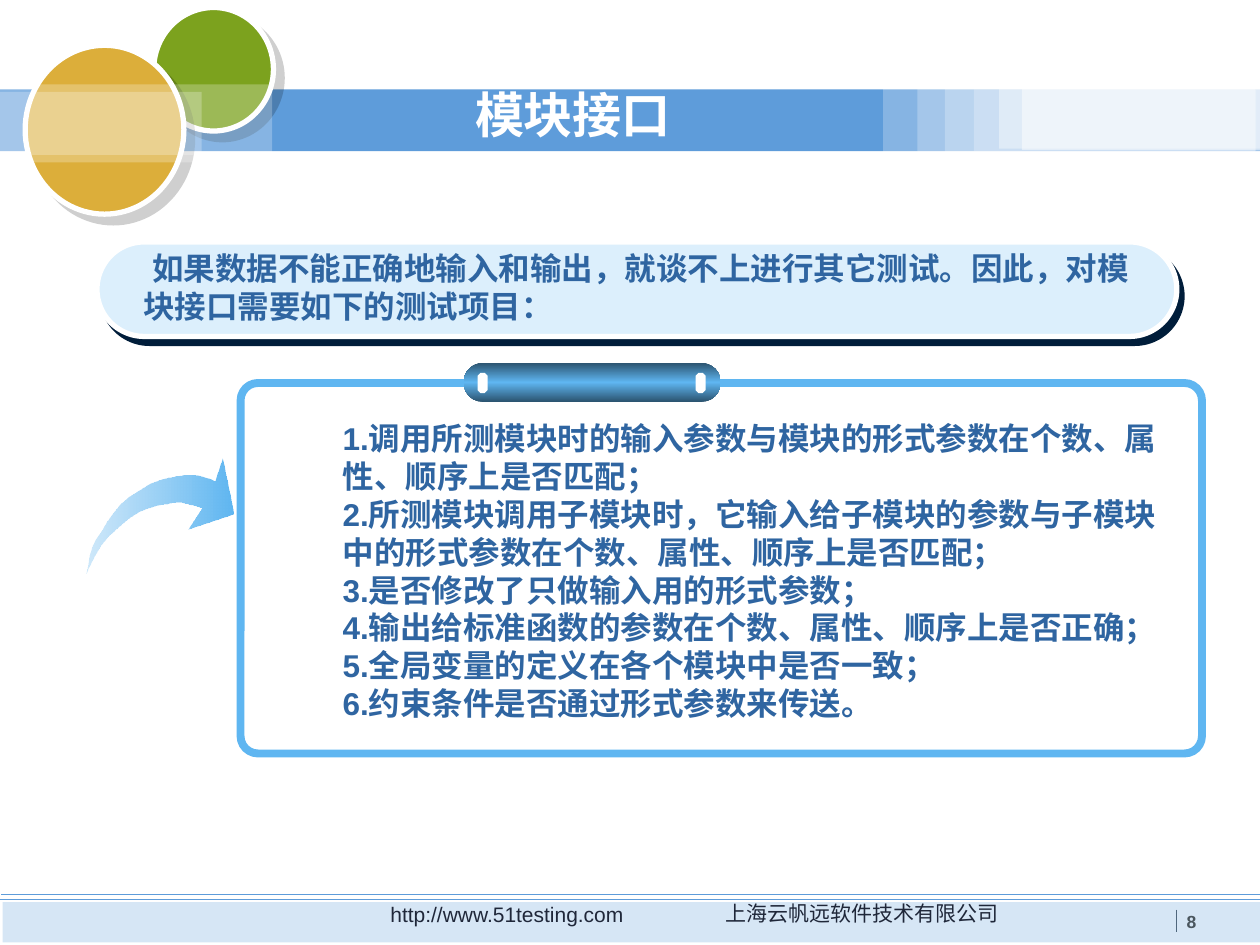
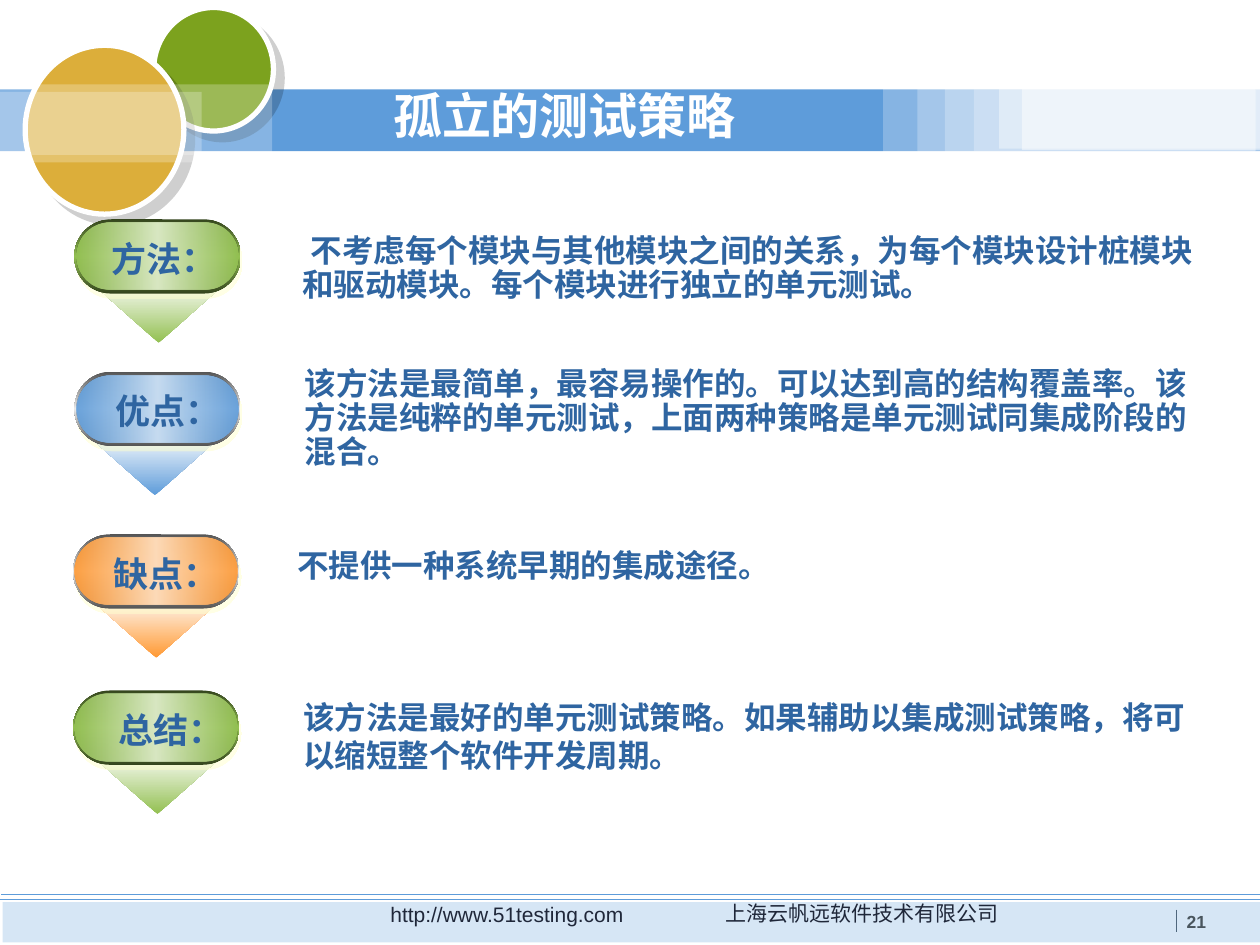
from lxml.etree import SubElement as Sub
from pptx import Presentation
from pptx.dml.color import RGBColor as Rgb
from pptx.enum.shapes import MSO_CONNECTOR as Wire, MSO_SHAPE as Geo
from pptx.enum.text import MSO_ANCHOR as Anchor, MSO_AUTO_SIZE as Auto, PP_ALIGN as Align
from pptx.oxml.ns import qn
from pptx.util import Inches, Pt

COLS, ROWS = 100, 75
CELL = Inches(10) // COLS
FONT = "Arial"
HUES = {
    "white": "FFFFFF", "black": "000000", "band": "5E9CDA", "leaf": "7CA21E",
    "gold": "DCAE3A", "slate": "4A565E", "ink": "0B0104", "text": "2F65A1",
    "pale": "DCEFFC", "navy": "001D3A", "sky": "5FB6F1", "haze": "6DBBF1",
    "deep": "2B536F", "green": "93C052", "mint": "D9E8C3", "moss": "34451D",
    "ice": "C7DCF1", "orange": "FF9933", "peach": "FEDBB9", "gray": "545454",
    "silver": "EAEAEA", "snow": "FEFEFE", "cream": "FFFFCC",
}
DISC_SHADE = ("black", 19, 7.1, 45)
PILL_SHADE = ("cream", 50, 3.2, 72)

# Left, top, width, height and opacity of the white veils on the title band
VEILS = [
    (70.1, 6.8, 29.5, 5.6, 25), (72.8, 7, 27.2, 5.7, 25),
    (75, 6.9, 25, 5.7, 25), (77.3, 7.1, 22.4, 4.9, 25),
    (79.3, 6.9, 20.7, 4.9, 40), (81.1, 7, 18.9, 4.9, 48),
]
DISC_VEILS = [(0, 6.7, 21.6, 5.6, 25), (0, 7.3, 16, 5.6, 25)]

# Outline of the curved arrow in tenths of a cell
ARROW = [
    (69, 455), (71, 450), (73, 446), (75, 442), (78, 437), (81, 432), (86, 426),
    (91, 421), (97, 416), (103, 411), (111, 406), (119, 403), (126, 401),
    (133, 400), (139, 399), (144, 399), (149, 400), (153, 401), (160, 403),
    (149, 420), (185, 408), (176, 364), (170, 382), (166, 380), (159, 378),
    (155, 377), (145, 377), (139, 378), (133, 379), (126, 381), (119, 384),
    (111, 389), (103, 394), (96, 400), (90, 407), (85, 414), (81, 421),
    (77, 427), (74, 433), (72, 439), (71, 445),
]

INTRO = "如果数据不能正确地输入和输出，就谈不上进行其它测试。因此，对模块接口需要如下的测试项目："
CHECKS = [
    "1.调用所测模块时的输入参数与模块的形式参数在个数、属性、顺序上是否匹配；",
    "2.所测模块调用子模块时，它输入给子模块的参数与子模块中的形式参数在个数、属性、顺序上是否匹配；",
    "3.是否修改了只做输入用的形式参数；",
    "4.输出给标准函数的参数在个数、属性、顺序上是否正确；",
    "5.全局变量的定义在各个模块中是否一致；",
    "6.约束条件是否通过形式参数来传送。",
]

GREEN = ("green", "mint", "moss", "green")
BLUE = ("band", "ice", "gray", "silver")
ORANGE = ("orange", "peach", "gray", "silver")
# Label, its left, tones, pill left and top, tip left, note place, spacing, first indent, note
POINTS = [
    ("方法：", 7.9, GREEN, 5.9, 17.4, 7.1, (23, 18.2, 74.6, 6.4), 0.9, 0.7,
     ["不考虑每个模块与其他模块之间的关系，为每个模块设计桩模块和驱动模块。每个模块进行独立的单元测试。"]),
    ("优点：", 8.2, BLUE, 5.9, 29.5, 6.8, (23.2, 28.7, 72.8, 9.1), 0.9, 0,
     ["该方法是最简单，最容易操作的。可以达到高的结构覆盖率。该方法是纯粹的单元测试，上面两种策略是单元测试同集成阶段的混合。"]),
    ("缺点：", 8, ORANGE, 5.8, 42.4, 6.9, (22.6, 43.2, 70.1, 3.7), 0.9, 0,
     ["不提供一种系统早期的集成途径。"]),
    ("总结：", 8.4, GREEN, 5.8, 54.8, 7, (23.1, 54.9, 73, 7), 1, 0,
     ["该方法是最好的单元测试策略。如果辅助以集成测试策略，将可", "以缩短整个软件开发周期。"]),
]


def cells(*sizes):
    return [round(size * CELL) for size in sizes]


def tint(node, hue, alpha):
    """Add a colour with an opacity in percent under an XML node."""
    color = Sub(node, qn("a:srgbClr"), val=HUES[hue])
    if alpha < 100:
        Sub(color, qn("a:alpha"), val=str(alpha * 1000))


class Deck:
    """Holds the presentation, its style and the current slide."""

    def __init__(self):
        self.show = Presentation()
        self.show.slide_width, self.show.slide_height = cells(COLS, ROWS)

    def start(self, title, place, number):
        self.slide = self.show.slides.add_slide(self.show.slide_layouts[5])
        self.frame(number)
        head = self.slide.shapes.title
        head.left, head.top, head.width, head.height = cells(*place)
        body = head.text_frame
        body.auto_size = Auto.NONE
        body.vertical_anchor = Anchor.MIDDLE
        self.letter(body, [title], 28, "white", True, space=0.9)
        self.slide.shapes._spTree.append(head._element)

    def frame(self, number):
        """Draw the band, discs and footer that every slide has."""
        self.shape(Geo.RECTANGLE, (0, 7.1, 100, 4.9), "band")
        self.shape(Geo.OVAL, (12.2, 0.6, 9.5, 9.8), "leaf", line=("white", 3), shade=DISC_SHADE)
        self.rule((93.4, 72.2, 93.4, 74), "slate")
        self.text(["上海云帆远软件技术有限公司"], (50.8, 71, 35.2, 3), 12, "ink", False, align=Align.CENTER)
        self.text(["http://www.51testing.com"], (23.9, 71.1, 32.7, 3), 12, "ink", False, align=Align.CENTER)
        self.rule((0, 71.4, 100, 71.4), "band")
        self.veil(VEILS)
        self.shape(Geo.RECTANGLE, (0.2, 71.6, 99.8, 3.2), "band", alpha=25)
        self.rule((0.1, 71, 100, 71), "band")
        self.shape(Geo.OVAL, (2, 3.6, 12.6, 13.4), "gold", line=("white", 3), shade=DISC_SHADE)
        self.veil(DISC_VEILS)
        self.text([str(number)], (93.2, 71.8, 4.8, 2.7), 10, "slate")

    def veil(self, strips):
        for *place, alpha in strips:
            self.shape(Geo.RECTANGLE, place, "white", alpha=alpha)

    def shape(self, geo, place, fill=None, alpha=100, line=None, shade=None, bend=None):
        item = self.slide.shapes.add_shape(geo, *cells(*place))
        if bend is not None:
            item.adjustments[0] = bend
        self.paint(item, fill, alpha, line, shade)
        return item

    def paint(self, item, fill, alpha=100, line=None, shade=None):
        """Fill with a hue, or with (angle, stops) for a gradient."""
        props = item._element.spPr
        if fill is None:
            item.fill.background()
        elif isinstance(fill, str):
            item.fill.solid()
            item.fill.fore_color.rgb = Rgb.from_string(HUES[fill])
            if alpha < 100:
                color = props.find(qn("a:solidFill"))[0]
                Sub(color, qn("a:alpha"), val=str(alpha * 1000))
        else:
            angle, stops = fill
            grad = Sub(props, qn("a:gradFill"), rotWithShape="1")
            props.insert(2, grad)
            chain = Sub(grad, qn("a:gsLst"))
            for pos, hue, dense in stops:
                tint(Sub(chain, qn("a:gs"), pos=str(pos * 1000)), hue, dense)
            Sub(grad, qn("a:lin"), ang=str(angle * 60000), scaled="0")
        if line:
            item.line.color.rgb = Rgb.from_string(HUES[line[0]])
            item.line.width = Pt(line[1])
        else:
            item.line.fill.background()
        item.shadow.inherit = False
        if shade:
            hue, dense, dist, angle = shade
            cast = Sub(props.find(qn("a:effectLst")), qn("a:outerShdw"), blurRad="0",
                       dist=str(Pt(dist)), dir=str(angle * 60000), algn="ctr", rotWithShape="0")
            tint(cast, hue, dense)

    def rule(self, ends, hue):
        line = self.slide.shapes.add_connector(Wire.STRAIGHT, *cells(*ends))
        line.line.color.rgb = Rgb.from_string(HUES[hue])
        line.line.width = Pt(0.75)
        Sub(line._element.spPr, qn("a:effectLst"))

    def free(self, points, fill):
        pen = self.slide.shapes.build_freeform(*points[0], scale=CELL / 10)
        pen.add_line_segments(points[1:], close=True)
        self.paint(pen.convert_to_shape(), fill)

    def text(self, lines, place, size=18, hue="text", bold=True, **style):
        body = self.slide.shapes.add_textbox(*cells(*place)).text_frame
        body.word_wrap = True
        self.letter(body, lines, size, hue, bold, **style)

    def letter(self, body, lines, size, hue, bold, align=Align.LEFT, space=1, left=0, first=0):
        """Put lines into a text frame, one paragraph each."""
        for index, line in enumerate(lines):
            para = body.add_paragraph() if index else body.paragraphs[0]
            para.text = line
            props = para._p.get_or_add_pPr()
            for key, shift in zip(("marL", "indent"), cells(left, first)):
                props.set(key, str(shift))
            para.alignment = align
            para.line_spacing = space
            font = para.font
            font.name, font.size, font.bold = FONT, Pt(size), bold
            font.color.rgb = Rgb.from_string(HUES[hue])

    def pill(self, col, row, tones):
        """Draw a rimmed, shaded pill as one group."""
        hue, glow, rim, shine = tones
        edge = self.shape(Geo.ROUNDED_RECTANGLE, (col, row, 13.2, 5.9),
                          (90, [(0, rim, 100), (50, shine, 100), (100, rim, 100)]),
                          shade=PILL_SHADE, bend=0.5)
        face = self.shape(Geo.ROUNDED_RECTANGLE, (col + 0.15, row + 0.3, 12.9, 5.3),
                          (180, [(0, hue, 90), (50, glow, 100), (100, hue, 90)]), bend=0.5)
        self.slide.shapes.add_group_shape([edge, face])

    def tip(self, col, row, hue):
        item = self.shape(Geo.ISOSCELES_TRIANGLE, (col, row, 11, 4.9),
                          (90, [(0, hue, 100), (100, "snow", 100)]))
        item._element.spPr.xfrm.set("flipV", "1")


def ports(deck):
    deck.start("模块接口", (36.7, 4.1, 22.8, 10.4), 8)
    deck.shape(Geo.ROUNDED_RECTANGLE, (7.7, 19.2, 85.7, 7.5), "pale", line=("white", 3),
               shade=("navy", 100, 5, 53), bend=0.5)
    deck.text([INTRO], (10.4, 19.3, 81.5, 7), first=0.7)
    deck.free(ARROW, (180, [(0, "sky", 100), (100, "haze", 32)]))
    deck.shape(Geo.ROUNDED_RECTANGLE, (19.1, 30.4, 76.3, 29.4), line=("sky", 4.5), bend=0.047)
    deck.shape(Geo.ROUNDED_RECTANGLE, (36.8, 28.8, 20.4, 3.1),
               (90, [(0, "deep", 100), (50, "sky", 100), (100, "deep", 100)]), bend=0.5)
    for col in (55.2, 37.9):
        deck.shape(Geo.OCTAGON, (col, 29.6, 0.8, 1.6), "white", bend=0.29)
    deck.text(CHECKS, (21.2, 32.8, 72.5, 25), left=5)


def plan(deck):
    deck.start("孤立的测试策略", (30.2, 4.2, 39.5, 10.4), 21)
    for label, start, tones, col, row, tip, place, space, first, note in POINTS:
        deck.text(note, place, space=space, first=first)
        deck.tip(tip, row + 4.9, tones[0])
        deck.pill(col, row, tones)
        deck.text([label], (start, row + 0.95, 11, 4.4), 20)


def main():
    deck = Deck()
    ports(deck)
    plan(deck)
    deck.show.save("out.pptx")


if __name__ == "__main__":
    main()
